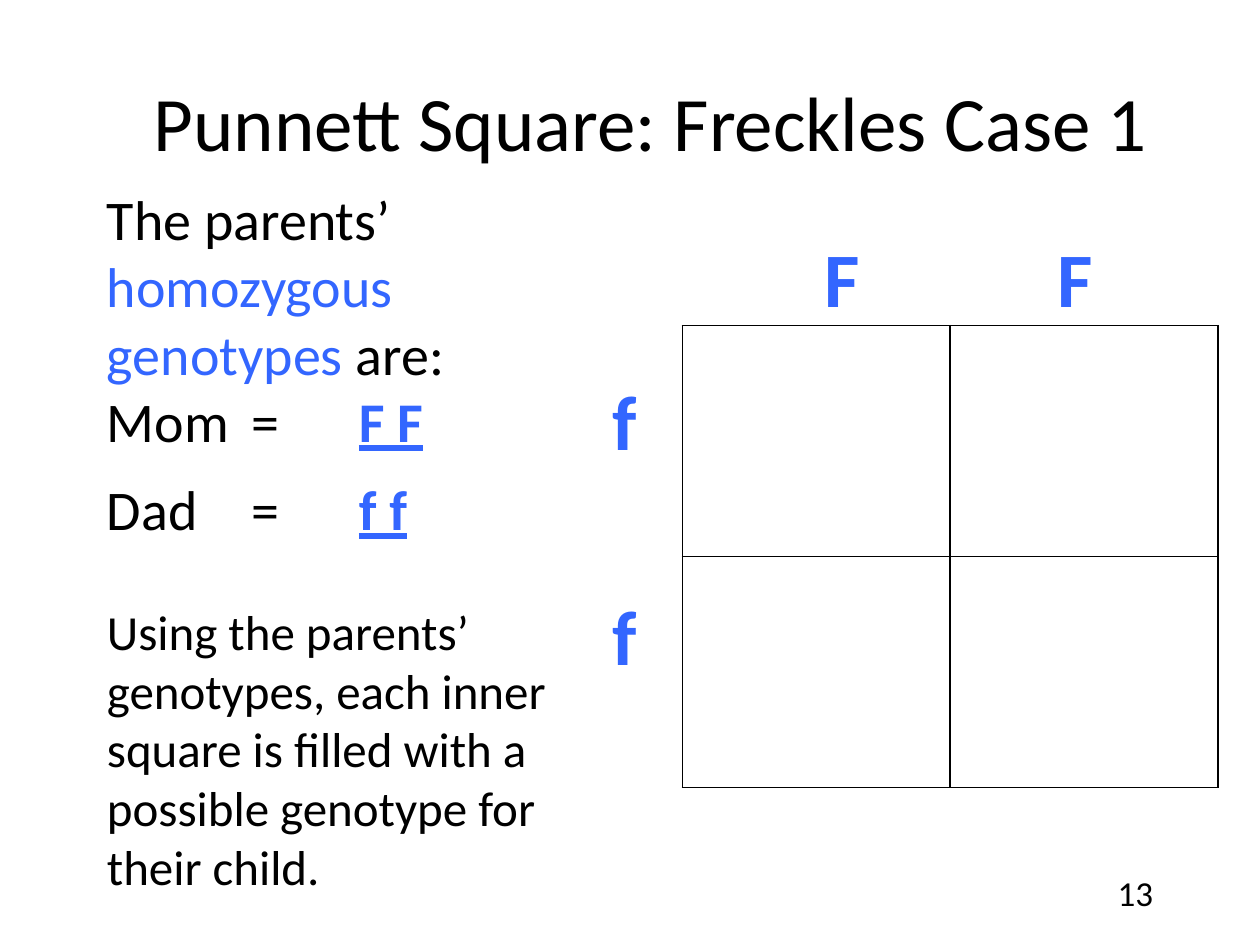
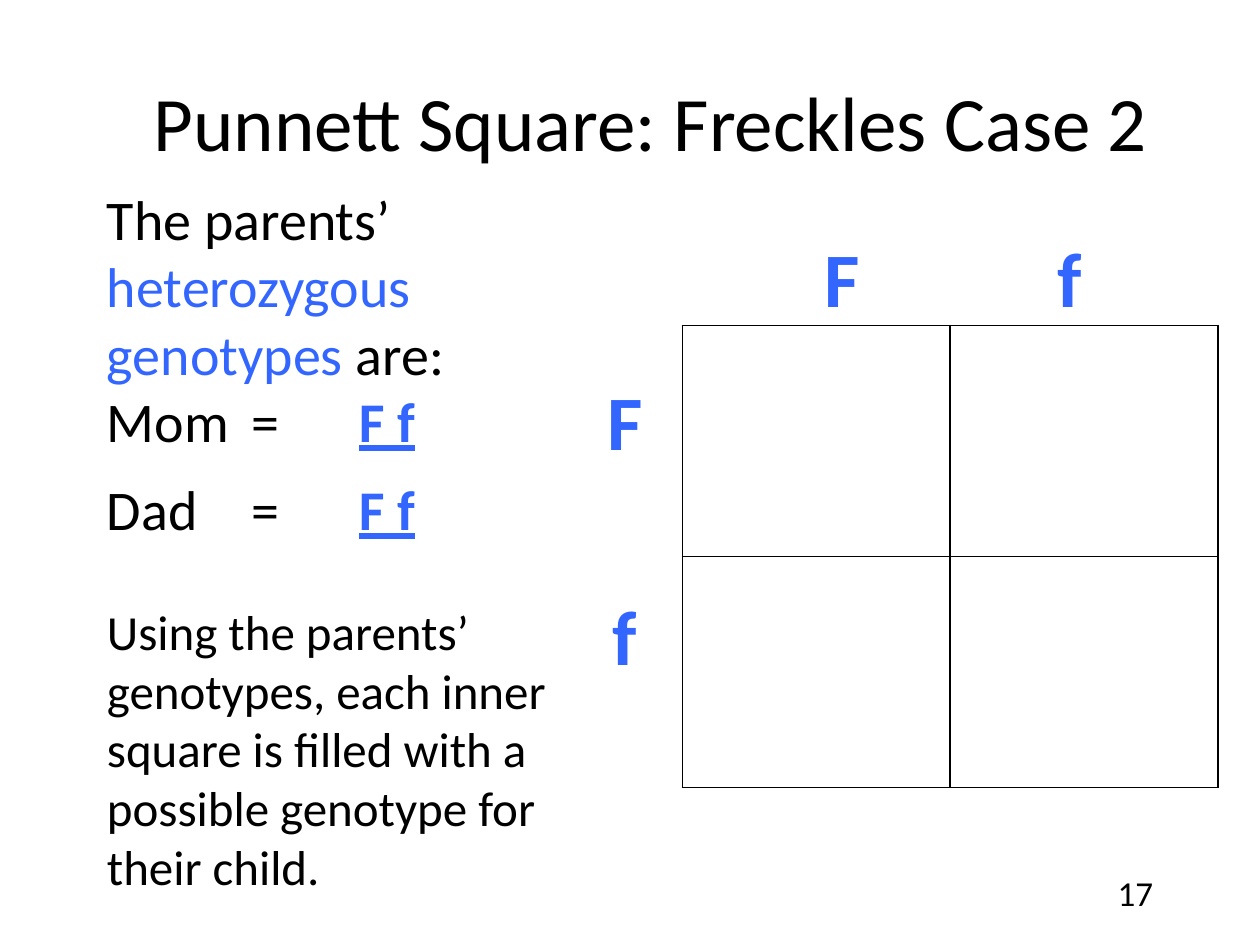
import pptx
import pptx.util
import pptx.dml.color
import pptx.enum.text
import pptx.oxml.ns
import lxml.etree

# Shared style: the slide is a grid of 120 x 90 units, 12 to the inch
UNIT = pptx.util.Inches(1) // 12
FONT = "Calibri"
BLACK, BLUE = "000000", "3366FF"
ALIGN = pptx.enum.text.PP_ALIGN
ANCHOR = pptx.enum.text.MSO_ANCHOR

TITLE_BOX = (11, 4, 102, 15)
PARENTS_BOX = (9, 17, 46, 69.5)
SQUARE_BOX = (54, 18, 62, 57)
NUMBER_BOX = (86, 82, 25, 6)

CASES = [
    {"title": "Punnett Square: Freckles Case 1", "kind": "homozygous",
     "mom": "FF", "dad": "ff", "number": "13"},
    {"title": "Punnett Square: Freckles Case 2", "kind": "heterozygous",
     "mom": "Ff", "dad": "Ff", "number": "17"},
]


def rgb(color):
    return pptx.dml.color.RGBColor.from_string(color)


def units(*values):
    return [round(v * UNIT) for v in values]


def add_child(parent, tag, **attributes):
    child = lxml.etree.SubElement(parent, pptx.oxml.ns.qn(tag))
    for name, value in attributes.items():
        child.set(name, str(value))
    return child


def write(p, text, size=32, color=BLACK, bold=False, underline=False):
    r = p.add_run()
    r.text = text
    r.font.name, r.font.size = FONT, pptx.util.Pt(size)
    r.font.bold, r.font.underline = bold, underline
    r.font.color.rgb = rgb(color)


def add_text_frame(s, box, anchor=ANCHOR.TOP):
    tf = s.shapes.add_textbox(*units(*box)).text_frame
    tf.word_wrap = True
    tf.vertical_anchor = anchor
    return tf


def set_tabs(p, *stops):
    tabs = add_child(p._p.get_or_add_pPr(), "a:tabLst")
    for stop in stops:
        add_child(tabs, "a:tab", pos=pptx.util.Inches(stop), algn="l")


def add_line(s, box, text, size, align):
    p = add_text_frame(s, box, ANCHOR.MIDDLE).paragraphs[0]
    p.alignment = align
    write(p, text, size=size)


def add_parents(s, box, kind, genotypes):
    tf = add_text_frame(s, box)
    p = tf.paragraphs[0]
    write(p, "The parents’ ")
    write(p, f"{kind} genotypes", color=BLUE)
    write(p, " are:")
    # One line per parent
    for i, (parent, alleles) in enumerate(genotypes.items()):
        p = tf.add_paragraph()
        p.space_after = pptx.util.Pt(0 if i else 12)
        set_tabs(p, 1.15, 2)
        write(p, f"{parent}\t=\t")
        write(p, " ".join(alleles), color=BLUE, bold=True, underline=True)
    # Instruction
    p = tf.add_paragraph()
    p.space_before = pptx.util.Pt(34)
    write(p, "Using the parents’ genotypes, each inner square is filled "
             "with a possible genotype for their child.", size=28)


def outline_cell(cell):
    cell.fill.background()
    pr = cell._tc.get_or_add_tcPr()
    for i, side in enumerate(("a:lnL", "a:lnR", "a:lnT", "a:lnB")):
        line = lxml.etree.Element(pptx.oxml.ns.qn(side), w=str(pptx.util.Pt(1)))
        add_child(add_child(line, "a:solidFill"), "a:srgbClr", val=BLACK)
        pr.insert(i, line)


def add_square(s, box, across, down):
    x, y, w, h = box
    side, head = 11, 13
    allele = {"size": 44, "color": BLUE, "bold": True}
    # Alleles above the columns
    p = add_text_frame(s, (x + side + 3, y, w - side - 6, head + 0.3),
                       ANCHOR.BOTTOM).paragraphs[0]
    set_tabs(p, 0.78, 2.63)
    write(p, "".join(f"\t{a}" for a in across), **allele)
    # Alleles beside the rows
    tf = add_text_frame(s, (x, y + head + 4, side, 32))
    for i, a in enumerate(down):
        p = tf.add_paragraph() if i else tf.paragraphs[0]
        p.alignment = ALIGN.CENTER
        p.space_before = pptx.util.Pt(70 if i else 0)
        write(p, a, **allele)
    # Empty inner squares
    table = s.shapes.add_table(len(down), len(across), *units(
        x + side, y + head, w - side, h - head)).table
    table.first_row = table.horz_banding = False
    for cell in table.iter_cells():
        outline_cell(cell)


def add_case(prs, title, kind, mom, dad, number):
    s = prs.slides.add_slide(prs.slide_layouts[6])
    add_line(s, TITLE_BOX, title, 44, ALIGN.CENTER)
    add_parents(s, PARENTS_BOX, kind, {"Mom": mom, "Dad": dad})
    add_square(s, SQUARE_BOX, mom, dad)
    add_line(s, NUMBER_BOX, number, 20, ALIGN.RIGHT)


def main():
    prs = pptx.Presentation()
    prs.slide_width, prs.slide_height = units(120, 90)
    for case in CASES:
        add_case(prs, **case)
    prs.save("out.pptx")


if __name__ == "__main__":
    main()
